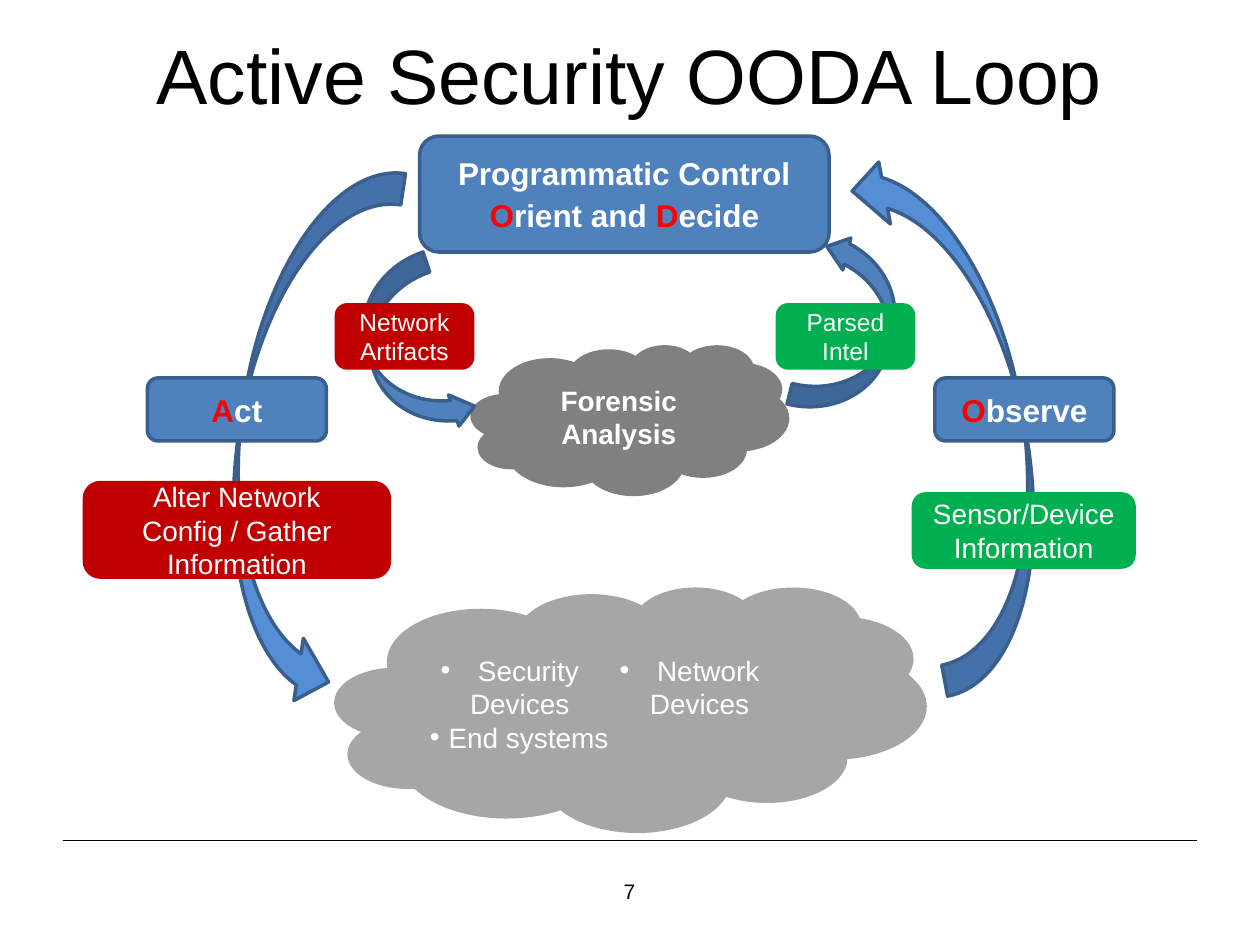
from lxml import etree
from pptx import Presentation
from pptx.dml.color import RGBColor
from pptx.enum.shapes import MSO_CONNECTOR, MSO_SHAPE
from pptx.enum.text import MSO_ANCHOR, PP_ALIGN
from pptx.oxml.ns import qn
from pptx.util import Inches, Pt

CLOUD = MSO_SHAPE.CLOUD
ROUNDED = MSO_SHAPE.ROUNDED_RECTANGLE
CURVED_ARROW = MSO_SHAPE.CURVED_RIGHT_ARROW
STRAIGHT = MSO_CONNECTOR.STRAIGHT
CENTER = PP_ALIGN.CENTER
MIDDLE = MSO_ANCHOR.MIDDLE
FONT = "Arial"
COLORS = {
    "black": "000000", "white": "FFFFFF", "letter": "FF0000",
    "stage": "4F81BD", "loop": "558ED5", "outline": "3A5F8C",
    "forensic": "808080", "network": "A6A6A6",
    "action": "C00000", "intel": "00B050",
}


def color(name):
    """Return the named colour."""
    return RGBColor.from_string(COLORS[name])


def write(para, spans, size, bold=False):
    """Fill a centred paragraph with (text, colour) spans."""
    para.alignment = CENTER
    for text, shade in spans:
        span = para.add_run()
        span.text = text
        span.font.name = FONT
        span.font.size = Pt(size)
        span.font.bold = bold
        span.font.color.rgb = color(shade)


def add_label(page, place, text, size):
    """Add a plain centred text box."""
    box = page.shapes.add_textbox(*map(Inches, place))
    box.text_frame.word_wrap = True
    write(box.text_frame.paragraphs[0], [(text, "black")], size)


def add_figure(page, kind, place, fill, outline):
    """Add a filled and outlined preset shape."""
    figure = page.shapes.add_shape(kind, *map(Inches, place))
    figure.shadow.inherit = False
    figure.fill.solid()
    figure.fill.fore_color.rgb = color(fill)
    figure.line.color.rgb = color(outline)
    figure.line.width = Pt(2)
    return figure


def add_box(page, kind, place, fill, outline, lines, size, bold=False):
    """Add a shape holding centred lines of spans and return its frame."""
    frame = add_figure(page, kind, place, fill, outline).text_frame
    frame.word_wrap = True
    frame.vertical_anchor = MIDDLE
    for index, spans in enumerate(lines):
        para = frame.add_paragraph() if index else frame.paragraphs[0]
        write(para, spans, size, bold)
    return frame


def add_arrow(page, place, fill, rotation, bend=0.5):
    """Add a rotated curved arrow."""
    arrow = add_figure(page, CURVED_ARROW, place, fill, "outline")
    arrow.rotation = rotation
    arrow.adjustments[1] = bend


def add_stage(page, place, *lines):
    """Add a blue box for a stage of the loop."""
    return add_box(page, ROUNDED, place, "stage", "outline", lines, 18, True)


def add_flow(page, place, fill, text, size):
    """Add a coloured box naming what flows along an arrow."""
    return add_box(page, ROUNDED, place, fill, fill, [[(text, "white")]], size)


def add_rule(page):
    """Add the thin footer line."""
    rule = page.shapes.add_connector(
        STRAIGHT, Inches(0.5), Inches(6.67), Inches(9.5), Inches(6.67))
    rule.line.color.rgb = color("black")
    rule.line.width = Pt(0.5)
    etree.SubElement(rule._element.spPr, qn("a:effectLst"))


def add_device_cloud(page):
    """Add the lower cloud with its bullets in two columns."""
    items = [" Security Devices", " End systems", " Network Devices"]
    frame = add_box(page, CLOUD, (2.67, 4.67, 4.67, 1.92), "network", "network",
                    [[(item, "white")] for item in items], 16)
    frame._txBody.bodyPr.set("numCol", "2")
    for para in frame.paragraphs:
        properties = para._p.get_or_add_pPr()
        etree.SubElement(properties, qn("a:buFont"), typeface=FONT)
        etree.SubElement(properties, qn("a:buChar"), char="•")
    frame.paragraphs[1].space_after = Pt(18)


def main():
    """Build the security loop slide."""
    deck = Presentation()
    deck.slide_width, deck.slide_height = Inches(10), Inches(7.5)
    page = deck.slides.add_slide(deck.slide_layouts[6])

    add_rule(page)
    add_label(page, (0.5, 0.17, 9, 1.25), "Active Security OODA Loop", 44)
    add_arrow(page, (1.9, 1.28, 1, 4.33), "loop", 8.6)
    add_arrow(page, (7.11, 1.14, 1, 4.33), "loop", 169.3)
    add_box(page, CLOUD, (3.75, 2.75, 2.5, 1.17), "forensic", "forensic",
            [[("Forensic Analysis", "white")]], 16, True)

    control = add_stage(
        page, (3.33, 1.08, 3.25, 0.92),
        [("Programmatic Control", "white")],
        [("O", "letter"), ("rient and ", "white"),
         ("D", "letter"), ("ecide", "white")])
    control.paragraphs[1].space_before = Pt(2.5)
    for left, initial, rest in ((1.17, "A", "ct"), (7.42, "O", "bserve")):
        add_stage(page, (left, 3, 1.42, 0.5),
                  [(initial, "letter"), (rest, "white")])

    add_arrow(page, (6.41, 1.89, 0.67, 1.42), "stage", 194.2, 0.39)
    add_arrow(page, (2.93, 2.07, 0.67, 1.42), "stage", 341.5, 0.39)
    add_flow(page, (2.67, 2.42, 1.08, 0.5), "action", "Network Artifacts", 14)
    add_flow(page, (6.17, 2.42, 1.08, 0.5), "intel", "Parsed Intel", 14)
    add_device_cloud(page)
    alter = add_flow(page, (0.67, 3.83, 2.42, 0.75), "action",
                     "Alter Network Config / Gather Information", 16)
    alter.margin_left = alter.margin_right = Inches(0.25)
    add_flow(page, (7.25, 3.92, 1.75, 0.58), "intel",
             "Sensor/Device Information", 16)
    add_label(page, (4.83, 6.92, 0.33, 0.3), "7", 12)
    deck.save("out.pptx")


main()
